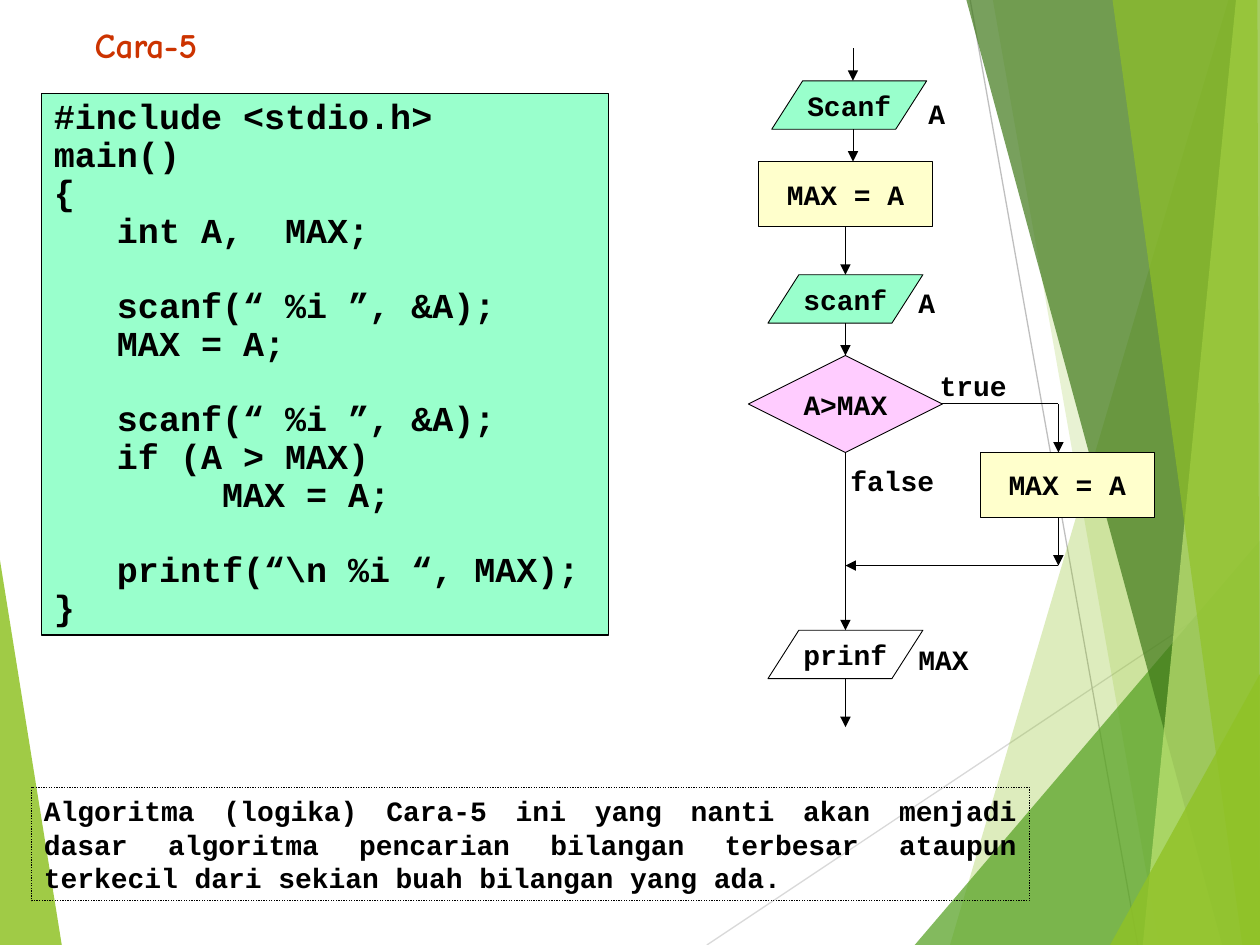
import pptx
import pptx.dml.color
import pptx.enum.dml
import pptx.enum.shapes
import pptx.enum.text
import pptx.oxml.ns
import pptx.util
from lxml import etree

HUES = {
    "black": "000000", "rust": "CC3300", "mint": "99FFCC", "cream": "FFFFCC",
    "pink": "FFCCFF", "lime": "90C226", "grass": "54A021", "moss": "3F7819",
    "pale": "C0E474", "gray": "BFBFBF", "light": "D9D9D9",
}
WIDE, HIGH = pptx.util.Inches(10), pptx.util.Inches(7.5)
ROW = 1.71  # flowchart row, percent of slide height
MID, SIDE = 67.1, 84  # main and side branch, percent of slide width
MONO = "Courier New"
KIND = pptx.enum.shapes.MSO_SHAPE
ALIGN = pptx.enum.text.PP_ALIGN
ANCHOR = pptx.enum.text.MSO_ANCHOR

# Colour, opacity and corners in percent of the slide
FACETS = [
    ("lime", 85, [(0, 59.3), (4.9, 100), (0, 100)]),
    ("lime", 30, [(97.5, 0), (75.4, 100), (100, 100), (100, 0)]),
    ("lime", 20, [(78.8, 0), (92, 100), (100, 100), (100, 0)]),
    ("grass", 72, [(72.6, 100), (100, 57.2), (100, 100)]),
    ("moss", 70, [(76.7, 0), (97, 100), (100, 100), (100, 0)]),
    ("pale", 70, [(98.1, 0), (90.7, 100), (100, 100), (100, 0)]),
    ("lime", 65, [(88.3, 0), (98.6, 100), (100, 100), (99.8, 0)]),
    ("lime", 80, [(88.1, 100), (100, 71.3), (100, 100)]),
]

# Each entry: blank lines above, text
CODE = [
    (0, "#include <stdio.h>"),
    (0, "main()"),
    (0, "{"),
    (0, "   int A,  MAX;"),
    (1, "   scanf(“ %i ”, &A);"),
    (0, "   MAX = A;"),
    (1, "   scanf(“ %i ”, &A);"),
    (0, "   if (A > MAX)"),
    (0, "        MAX = A;"),
    (1, "   printf(“\\n %i “, MAX);"),
    (0, "}"),
]
NOTE = ("Algoritma (logika) Cara-5 ini yang nanti akan menjadi dasar algoritma "
        "pencarian bilangan terbesar ataupun terkecil dari sekian buah bilangan "
        "yang ada.")

# Shape, fill, centre, top row, text
IO, STEP, TEST = KIND.FLOWCHART_DATA, KIND.RECTANGLE, KIND.FLOWCHART_DECISION
SIZES = {IO: (12.3, 3), STEP: (13.8, 4), TEST: (15.4, 6)}
NODES = [
    (IO, "mint", 67.4, 5, "Scanf"),
    (STEP, "cream", MID, 10, "MAX = A"),
    (IO, "mint", MID, 17, "scanf"),
    (TEST, "pink", MID, 22, "A>MAX"),
    (STEP, "cream", 84.7, 28, "MAX = A"),
    (IO, None, MID, 39, "prinf"),
]
# Left, top row, width, text
LABELS = [
    (72.7, 5.6, 3.6, "A"), (71.9, 17.3, 3.6, "A"), (71.9, 39.35, 6.4, "MAX"),
    (66.5, 28.3, 9.2, "false"), (73.6, 22.45, 7.8, "true"),
]
# Column, start row, end row
DROPS = [
    (67.7, 3, 5), (67.7, 8, 10), (MID, 14, 17), (MID, 20, 22),
    (MID, 28, 39), (MID, 42, 45), (SIDE, 25, 28), (SIDE, 32, 35),
]


def rgb(hue):
    return pptx.dml.color.RGBColor.from_string(HUES[hue])


def place(x, y):
    return round(WIDE * x / 100), round(HIGH * y / 100)


def write(para, text, size=16, face=MONO, hue="black"):
    run = para.add_run()
    run.text = text
    run.font.size = pptx.util.Pt(size)
    run.font.name = face
    run.font.bold = True
    run.font.color.rgb = rgb(hue)


def facet(slide, hue, alpha, spots):
    first, *rest = [place(*spot) for spot in spots]
    form = slide.shapes.build_freeform(*first)
    form.add_line_segments(rest)
    shape = form.convert_to_shape()
    shape.shadow.inherit = False
    shape.fill.solid()
    shape.fill.fore_color.rgb = rgb(hue)
    shape.line.fill.background()
    tint = shape._element.spPr.find(".//" + pptx.oxml.ns.qn("a:srgbClr"))
    etree.SubElement(tint, pptx.oxml.ns.qn("a:alpha"), val=str(alpha * 1000))


def line(slide, start, end, hue="black", width=0.5, head=True):
    link = slide.shapes.add_connector(
        pptx.enum.shapes.MSO_CONNECTOR.STRAIGHT, *place(*start), *place(*end))
    link.line.color.rgb = rgb(hue)
    link.line.width = pptx.util.Pt(width)
    if head:
        etree.SubElement(link.line._get_or_add_ln(),
                         pptx.oxml.ns.qn("a:tailEnd"), type="triangle")
    etree.SubElement(link._element.spPr, pptx.oxml.ns.qn("a:effectLst"))


def block(slide, kind, fill, spot, size, width=0.75):
    """Add an outlined shape, with no fill when fill is None."""
    shape = slide.shapes.add_shape(kind, *place(*spot), *place(*size))
    shape.shadow.inherit = False
    if fill:
        shape.fill.solid()
        shape.fill.fore_color.rgb = rgb(fill)
    else:
        shape.fill.background()
    shape.line.color.rgb = rgb("black")
    shape.line.width = pptx.util.Pt(width)
    shape.text_frame.vertical_anchor = ANCHOR.TOP
    shape.text_frame.word_wrap = True
    return shape


def node(slide, kind, fill, mid, top, text):
    wide, rows = SIZES[kind]
    shape = block(slide, kind, fill, (mid - wide / 2, top * ROW),
                  (wide, rows * ROW), 0.5)
    frame = shape.text_frame
    frame.vertical_anchor = ANCHOR.MIDDLE
    frame.word_wrap = False
    frame.paragraphs[0].alignment = ALIGN.CENTER
    write(frame.paragraphs[0], text)


def label(slide, left, top, wide, text):
    box = slide.shapes.add_textbox(*place(left, top * ROW), *place(wide, 4.93))
    box.text_frame.word_wrap = False
    write(box.text_frame.paragraphs[0], text)


def title(slide):
    box = slide.shapes.title
    box.left, box.top = place(6.5, 1.87)
    box.width, box.height = place(10.2, 5.87)
    frame = box.text_frame
    frame.word_wrap = False
    frame.auto_size = pptx.enum.text.MSO_AUTO_SIZE.NONE
    frame.vertical_anchor = ANCHOR.TOP
    frame.paragraphs[0].alignment = ALIGN.LEFT
    write(frame.paragraphs[0], "Cara-5", 20, "Comic Neue", "rust")


def code(slide):
    box = block(slide, STEP, "mint", (3.3, 9.87), (45, 57.33))
    frame = box.text_frame
    for spot, (gap, text) in enumerate(CODE):
        para = frame.add_paragraph() if spot else frame.paragraphs[0]
        para.alignment = ALIGN.LEFT
        para.line_spacing = 0.9
        if gap:
            para.space_before = pptx.util.Pt(21.5 * gap)
        write(para, text, 20)


def note(slide):
    box = block(slide, STEP, None, (2.5, 83.33), (79.2, 12))
    box.line.dash_style = pptx.enum.dml.MSO_LINE.ROUND_DOT
    para = box.text_frame.paragraphs[0]
    para.alignment = ALIGN.JUSTIFY
    write(para, NOTE)


def main():
    deck = pptx.Presentation()
    deck.slide_width, deck.slide_height = WIDE, HIGH
    slide = deck.slides.add_slide(deck.slide_layouts[5])
    facet(slide, *FACETS[0])
    line(slide, (56.1, 100), (100, 61), "light", 0.75, False)
    line(slide, (77, 0), (90.3, 100), "gray", 0.75, False)
    for item in FACETS[1:]:
        facet(slide, *item)
    title(slide)
    code(slide)
    for item in NODES:
        node(slide, *item)
    for col, top, end in DROPS:
        line(slide, (col, top * ROW), (col, end * ROW))
    line(slide, (74.8, 25 * ROW), (SIDE, 25 * ROW), head=False)
    line(slide, (SIDE, 35 * ROW), (MID, 35 * ROW))
    for item in LABELS:
        label(slide, *item)
    note(slide)
    deck.save("out.pptx")


if __name__ == "__main__":
    main()
